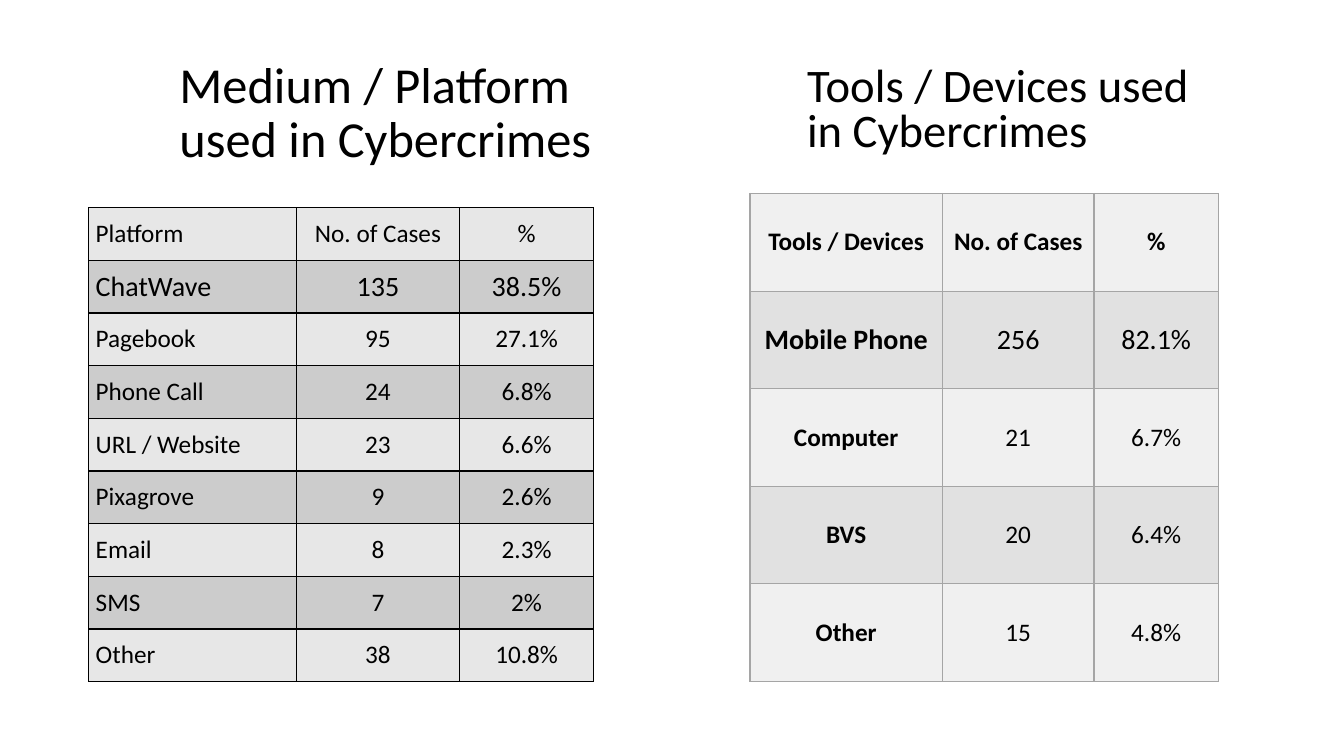
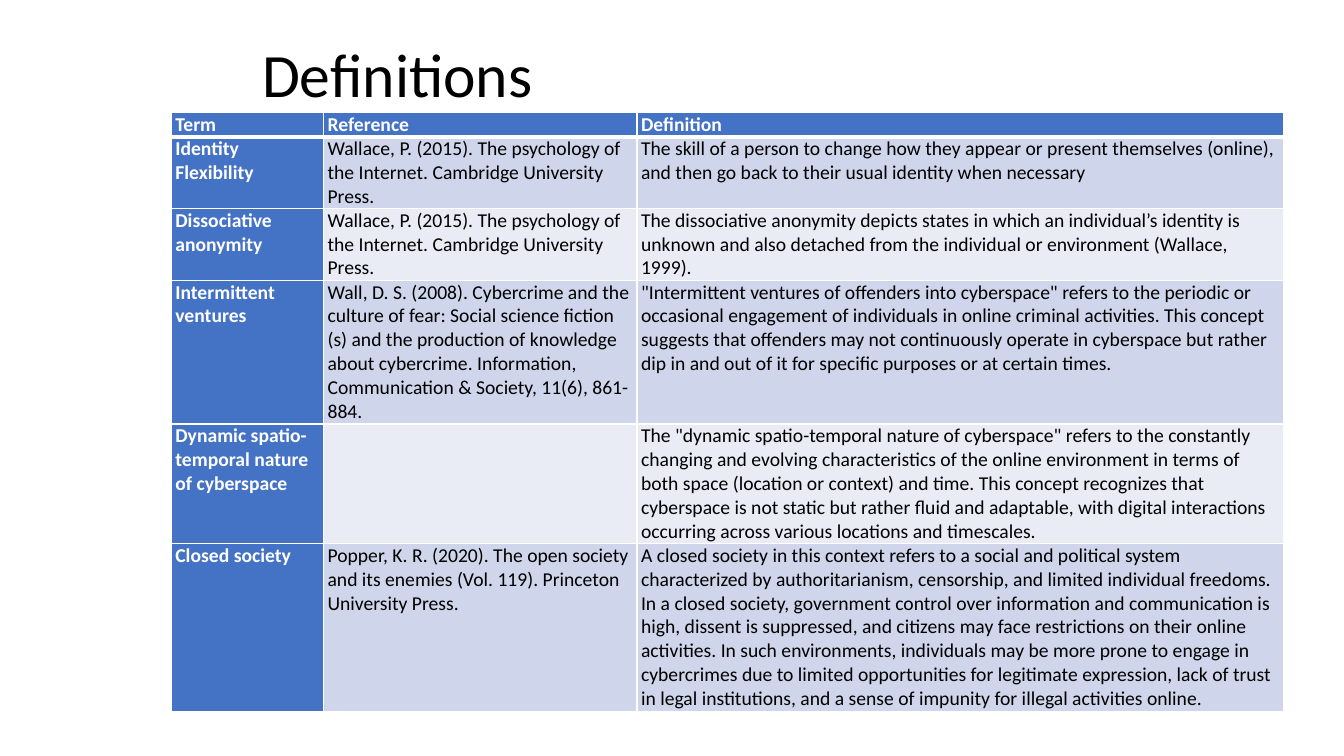
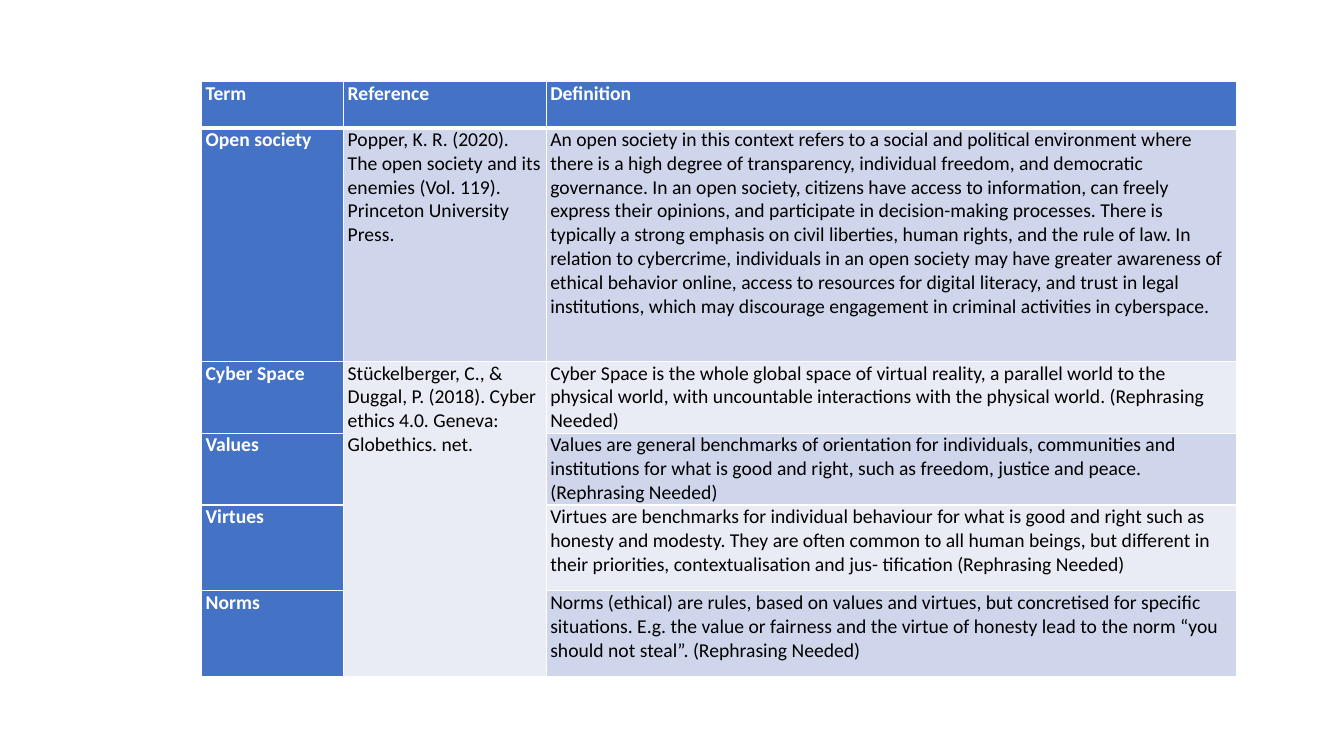
import dataclasses
import typing

import lxml.etree
import pptx
import pptx.dml.color
import pptx.enum.text
import pptx.oxml.ns
import pptx.util

# Slide grid: 160 columns by 90 rows of square cells
WIDE, HIGH = pptx.util.Inches(13.333), pptx.util.Inches(7.5)
COLS, ROWS = 160, 90
LINE = 2.85  # grid rows taken by one line of 14 pt text

FONT = "Calibri"
HEX = {
    "ink": "000000", "white": "FFFFFF", "blue": "4472C4",
    "sky": "CFD5EA", "mist": "E9EBF5",
    "ash": "CCCCCC", "pearl": "E7E7E7",
    "stone": "E1E1E1", "chalk": "F0F0F0", "steel": "A5A5A5",
}
LEFT = pptx.enum.text.PP_ALIGN.LEFT
MID = pptx.enum.text.PP_ALIGN.CENTER
TOP = pptx.enum.text.MSO_ANCHOR.TOP
HALF = pptx.enum.text.MSO_ANCHOR.MIDDLE


@dataclasses.dataclass
class Head:
    text: str
    box: tuple[float, float, float, float]
    size: float
    lead: float = 0.9


@dataclasses.dataclass
class Style:
    edge: str
    bands: tuple[str, str]      # odd body rows, even body rows
    head: str                   # fill of the header row
    side: str = ""              # fill of the first column, if any
    tint: str = "ink"           # text on the header and first column
    bold: bool = False
    size: int = 14
    first: typing.Any = LEFT
    rest: typing.Any = LEFT
    anchor: typing.Any = TOP
    pad: float = 0.48
    rule: int = 1               # line under the header row
    big: int = 0                # text size of the first body row, if any


@dataclasses.dataclass
class Grid:
    at: tuple[float, float]
    cols: list[float]
    rows: list[float]
    data: list[tuple[str, str, str]]
    style: Style
    merge: int = 0              # first row of a merged second column


CASES = Style("ink", ("ash", "pearl"), "pearl", size=18, big=20,
              rest=MID, anchor=HALF, pad=0.84)
TOOLS = dataclasses.replace(CASES, edge="steel", bands=("stone", "chalk"),
                            head="chalk", bold=True, first=MID)
TERMS = Style("white", ("sky", "mist"), "blue", side="blue", tint="white",
              bold=True, rule=3)


# Helpers
def put(item: typing.Any, form: dict[str, typing.Any]) -> None:
    for name, val in form.items():
        setattr(item, name, val)


def dx(n: float) -> int:
    return round(WIDE * n / COLS)


def dy(n: float) -> int:
    return round(HIGH * n / ROWS)


def rgb(name: str) -> pptx.dml.color.RGBColor:
    return pptx.dml.color.RGBColor.from_string(HEX[name])


def write(para: typing.Any, text: str, size: float, tint: str,
          bold: bool, align: typing.Any) -> None:
    run = para.add_run()
    run.text = text
    para.alignment = align
    put(run.font, {"name": FONT, "size": pptx.util.Pt(size), "bold": bold})
    run.font.color.rgb = rgb(tint)


def title(shape: typing.Any, head: Head) -> None:
    x, y, w, h = head.box
    put(shape, {"left": dx(x), "top": dy(y), "width": dx(w), "height": dy(h)})
    frame = shape.text_frame
    put(frame, {"word_wrap": True, "vertical_anchor": HALF,
                "auto_size": pptx.enum.text.MSO_AUTO_SIZE.NONE})
    para = frame.paragraphs[0]
    para.line_spacing = head.lead
    write(para, head.text, head.size, "ink", False, LEFT)


def edges(cell: typing.Any, tint: str, widths: dict[str, int]) -> None:
    qn = pptx.oxml.ns.qn
    props = cell._tc.get_or_add_tcPr()
    for side, width in widths.items():
        line = lxml.etree.SubElement(props, qn("a:ln" + side),
                                     w=str(pptx.util.Pt(width)))
        fill = lxml.etree.SubElement(line, qn("a:solidFill"))
        lxml.etree.SubElement(fill, qn("a:srgbClr"), val=HEX[tint])


def table(slide: typing.Any, grid: Grid) -> None:
    look = grid.style
    x, y = grid.at
    tab = slide.shapes.add_table(
        len(grid.rows), len(grid.cols), dx(x), dy(y),
        dx(sum(grid.cols)), dy(sum(grid.rows))).table
    put(tab, {"first_row": False, "horz_banding": False})
    for col, w in zip(tab.columns, grid.cols):
        col.width = dx(w)
    for row, h in zip(tab.rows, grid.rows):
        row.height = dy(h)
    for r, line in enumerate(grid.data):
        for c, text in enumerate(line):
            cell = tab.cell(r, c)
            key = r == 0 or c == 0
            edges(cell, look.edge, {
                "L": 1, "R": 1, "T": look.rule if r == 1 else 1,
                "B": look.rule if r == 0 else 1})
            band = look.bands[(r - 1) % 2] if r else look.head
            cell.fill.solid()
            cell.fill.fore_color.rgb = rgb(
                look.side if look.side and c == 0 else band)
            put(cell, {"margin_left": dx(look.pad), "margin_right": dx(look.pad),
                       "margin_top": 0, "margin_bottom": 0,
                       "vertical_anchor": look.anchor})
            if text:
                write(cell.text_frame.paragraphs[0], text,
                      look.big if look.big and r == 1 else look.size,
                      look.tint if key else "ink", look.bold and key,
                      look.rest if c else look.first)
    if grid.merge:
        tab.cell(grid.merge, 1).merge(tab.cell(len(grid.rows) - 1, 1))


# Content
TOP_ROW = ("Term", "Reference", "Definition")
MEDIA = Grid((10.56, 24.72), [24.72, 19.44, 15.96], [6.27] * 9, [
    ("Platform", "No. of Cases", "%"),
    ("ChatWave", "135", "38.5%"),
    ("Pagebook", "95", "27.1%"),
    ("Phone Call", "24", "6.8%"),
    ("URL / Website", "23", "6.6%"),
    ("Pixagrove", "9", "2.6%"),
    ("Email", "8", "2.3%"),
    ("SMS", "7", "2%"),
    ("Other", "38", "10.8%"),
], CASES)
KIT = Grid((89.28, 23.04), [22.92, 18.05, 14.8], [11.62] * 5, [
    ("Tools / Devices", "No. of Cases", "%"),
    ("Mobile Phone", "256", "82.1%"),
    ("Computer", "21", "6.7%"),
    ("BVS", "20", "6.4%"),
    ("Other", "15", "4.8%"),
], TOOLS)
WALLACE = "Wallace, P. (2015). The psychology of the Internet. Cambridge University Press."
POPPER = "Popper, K. R. (2020). The open society and its enemies (Vol. 119). Princeton University Press."
CLOSED = Grid((20.4, 13.44), [18.12, 37.32, 76.92],
              [n * LINE for n in (1, 3, 3, 6, 5, 7)], [
    TOP_ROW,
    ("Identity Flexibility", WALLACE,
     "The skill of a person to change how they appear or present themselves "
     "(online), and then go back to their usual identity when necessary"),
    ("Dissociative anonymity", WALLACE,
     "The dissociative anonymity depicts states in which an individual’s "
     "identity is unknown and also detached from the individual or "
     "environment (Wallace, 1999)."),
    ("Intermittent ventures",
     "Wall, D. S. (2008). Cybercrime and the culture of fear: Social science "
     "fiction (s) and the production of knowledge about cybercrime. "
     "Information, Communication & Society, 11(6), 861-884.",
     '"Intermittent ventures of offenders into cyberspace" refers to the '
     "periodic or occasional engagement of individuals in online criminal "
     "activities. This concept suggests that offenders may not continuously "
     "operate in cyberspace but rather dip in and out of it for specific "
     "purposes or at certain times."),
    ("Dynamic spatio-temporal nature of cyberspace", "",
     'The "dynamic spatio-temporal nature of cyberspace" refers to the '
     "constantly changing and evolving characteristics of the online "
     "environment in terms of both space (location or context) and time. "
     "This concept recognizes that cyberspace is not static but rather fluid "
     "and adaptable, with digital interactions occurring across various "
     "locations and timescales."),
    ("Closed society", POPPER,
     "A closed society in this context refers to a social and political "
     "system characterized by authoritarianism, censorship, and limited "
     "individual freedoms. In a closed society, government control over "
     "information and communication is high, dissent is suppressed, and "
     "citizens may face restrictions on their online activities. In such "
     "environments, individuals may be more prone to engage in cybercrimes "
     "due to limited opportunities for legitimate expression, lack of trust "
     "in legal institutions, and a sense of impunity for illegal activities "
     "online."),
], TERMS)
OPEN = Grid((24, 9.7), [16.92, 24.12, 82.2],
            [5.5, 27.84, 3 * LINE, 3 * LINE, 10.2, 10.2], [
    TOP_ROW,
    ("Open society", POPPER,
     "An open society in this context refers to a social and political "
     "environment where there is a high degree of transparency, individual "
     "freedom, and democratic governance. In an open society, citizens have "
     "access to information, can freely express their opinions, and "
     "participate in decision-making processes. There is typically a strong "
     "emphasis on civil liberties, human rights, and the rule of law. In "
     "relation to cybercrime, individuals in an open society may have greater "
     "awareness of ethical behavior online, access to resources for digital "
     "literacy, and trust in legal institutions, which may discourage "
     "engagement in criminal activities in cyberspace."),
    ("Cyber Space",
     "Stückelberger, C., & Duggal, P. (2018). Cyber ethics 4.0. Geneva: "
     "Globethics. net.",
     "Cyber Space is the whole global space of virtual reality, a parallel "
     "world to the physical world, with uncountable interactions with the "
     "physical world. (Rephrasing Needed)"),
    ("Values", "",
     "Values are general benchmarks of orientation for individuals, "
     "communities and institutions for what is good and right, such as "
     "freedom, justice and peace. (Rephrasing Needed)"),
    ("Virtues", "",
     "Virtues are benchmarks for individual behaviour for what is good and "
     "right such as honesty and modesty. They are often common to all human "
     "beings, but different in their priorities, contextualisation and jus- "
     "tification (Rephrasing Needed)"),
    ("Norms", "",
     "Norms (ethical) are rules, based on values and virtues, but concretised "
     "for specific situations. E.g. the value or fairness and the virtue of "
     "honesty lead to the norm “you should not steal”. (Rephrasing Needed)"),
], TERMS, merge=2)

# Each slide: its titles (the first fills the placeholder) and its tables
DECK: list[tuple[list[Head], list[Grid]]] = [
    ([Head("Medium / Platform used in Cybercrimes", (20.16, 7, 52.3, 13.2), 36),
      Head("Tools / Devices used in Cybercrimes", (94.9, 7.3, 52.3, 12), 33.3, 0.8)],
     [MEDIA, KIT]),
    ([Head("Definitions", (30, 3.5, 70.9, 11.4), 44)], [CLOSED]),
    ([], [OPEN]),
]


def main() -> None:
    deck = pptx.Presentation()
    put(deck, {"slide_width": WIDE, "slide_height": HIGH})
    for heads, grids in DECK:
        slide = deck.slides.add_slide(deck.slide_layouts[5 if heads else 6])
        for n, head in enumerate(heads):
            title(slide.shapes.add_textbox(0, 0, 0, 0) if n
                  else slide.shapes.title, head)
        for grid in grids:
            table(slide, grid)
    deck.save("out.pptx")


if __name__ == "__main__":
    main()
